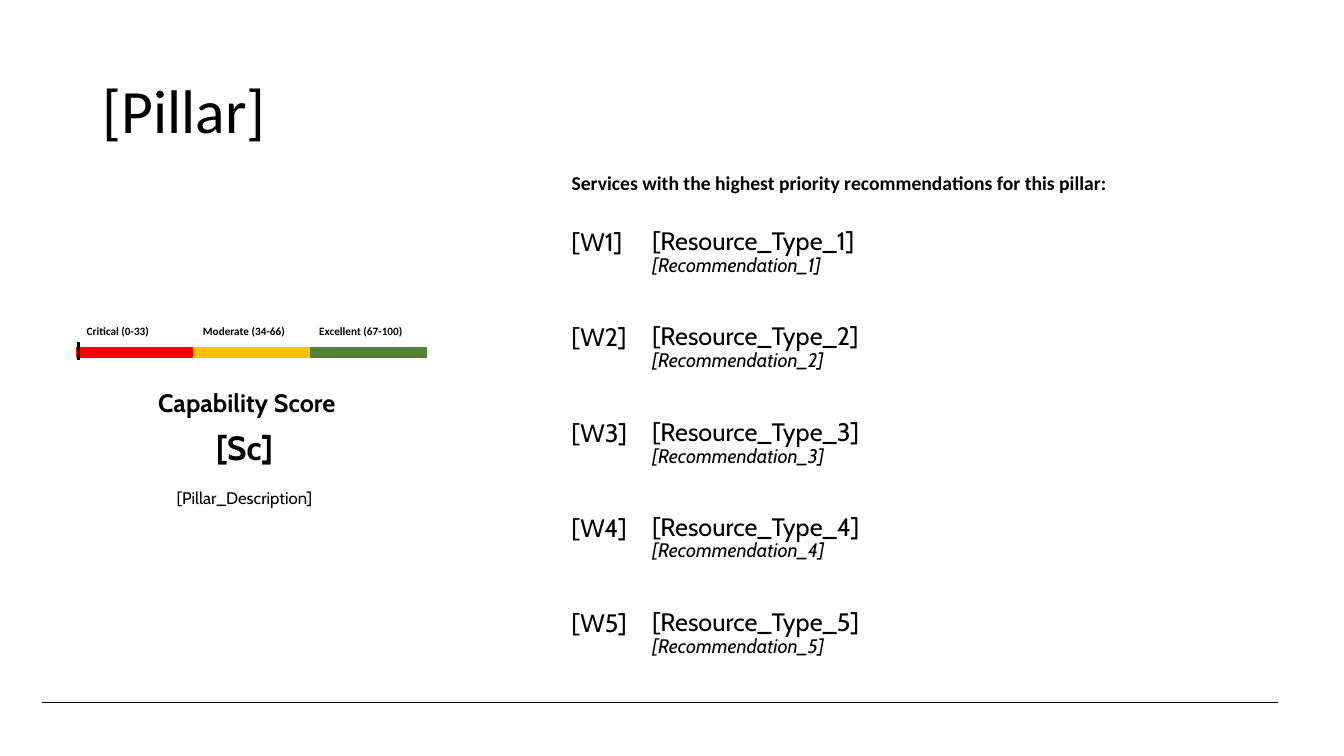
from pptx import Presentation
from pptx.dml.color import RGBColor
from pptx.enum.shapes import MSO_CONNECTOR, MSO_SHAPE
from pptx.enum.text import MSO_ANCHOR, PP_ALIGN
from pptx.oxml.ns import qn
from pptx.util import Emu, Pt
from lxml.etree import SubElement

PX = 9144  # 100 px to the inch
THEME = {
    "black": RGBColor(0x00, 0x00, 0x00),
    "critical": RGBColor(0xFF, 0x00, 0x00),
    "moderate": RGBColor(0xFF, 0xC0, 0x00),
    "excellent": RGBColor(0x54, 0x82, 0x35),
    "head_font": "Calibri",
    "body_font": "Cabin",
    "title": 44, "score": 24, "item": 18, "detail": 14, "body": 12, "band": 8,
}


def write(tf, text, size, font="body_font", bold=False, italic=False, align=PP_ALIGN.LEFT):
    """Put one styled run in the first paragraph and return the paragraph."""
    tf.word_wrap = True
    p = tf.paragraphs[0]
    p.alignment = align
    r = p.add_run()
    r.text = text
    r.font.size = Pt(THEME[size])
    r.font.name = THEME[font]
    r.font.bold = bold
    r.font.italic = italic
    r.font.color.rgb = THEME["black"]
    return p


def box(*edges):
    return [Emu(edge * PX) for edge in edges]


prs = Presentation()
prs.slide_width, prs.slide_height = box(1333, 750)
s = prs.slides.add_slide(prs.slide_layouts[5])

title = s.shapes.title
title.left, title.top, title.width, title.height = box(92, 40, 1150, 145)
title.text_frame.vertical_anchor = MSO_ANCHOR.MIDDLE
write(title.text_frame, "[Pillar]", "title", "head_font").line_spacing = 0.9

# Score scale: one coloured bar and one label per band
bands = [("Critical (0-33)", "critical"), ("Moderate (34-66)", "moderate"),
         ("Excellent (67-100)", "excellent")]
frame = s.shapes.add_table(1, len(bands), *box(76, 317, 346, 21))
table = frame.table
table.first_row = table.horz_banding = False
for i, (label, colour) in enumerate(bands):
    cell = table.cell(0, i)
    cell.fill.background()
    write(cell.text_frame, label, "band", "head_font", bold=True)
    bar = s.shapes.add_shape(MSO_SHAPE.RECTANGLE, *box(76 + 116 * i, 345, 115, 9))
    bar.shadow.inherit = False
    bar.fill.solid()
    bar.fill.fore_color.rgb = THEME[colour]
    bar.line.color.rgb = THEME[colour]
    bar.line.width = Pt(1)

# Score marker and footer rule
for ends, width in [((78, 339, 78, 357), 2.5), ((42, 697, 1268, 697), 0.5)]:
    line = s.shapes.add_connector(MSO_CONNECTOR.STRAIGHT, *box(*ends))
    line.line.color.rgb = THEME["black"]
    line.line.width = Pt(width)
    SubElement(line._element.spPr, qn("a:effectLst"))

center = {"align": PP_ALIGN.CENTER}
texts = [
    ((147, 379, 209, 40), "Capability Score", "item", {"bold": True}),
    ((183, 419, 119, 50), "[Sc]", "score", {"bold": True, **center}),
    ((52, 479, 381, 30), "[Pillar_Description]", "body", center),
    ((557, 165, 672, 34), "Services with the highest priority recommendations for this pillar:",
     "detail", {"font": "head_font", "bold": True}),
]
for n in range(1, 6):
    top = 219 + (n - 1) * 189 // 2
    texts += [
        ((557, top + 1, 76, 40), f"[W{n}]", "item", {}),
        ((637, top, 521, 40), f"[Resource_Type_{n}]", "item", {}),
        ((637, top + 27, 630, 34), f"[Recommendation_{n}]", "detail", {"italic": True}),
    ]
for place, text, size, style in texts:
    tb = s.shapes.add_textbox(*box(*place))
    write(tb.text_frame, text, size, **style)

prs.save("out.pptx")
